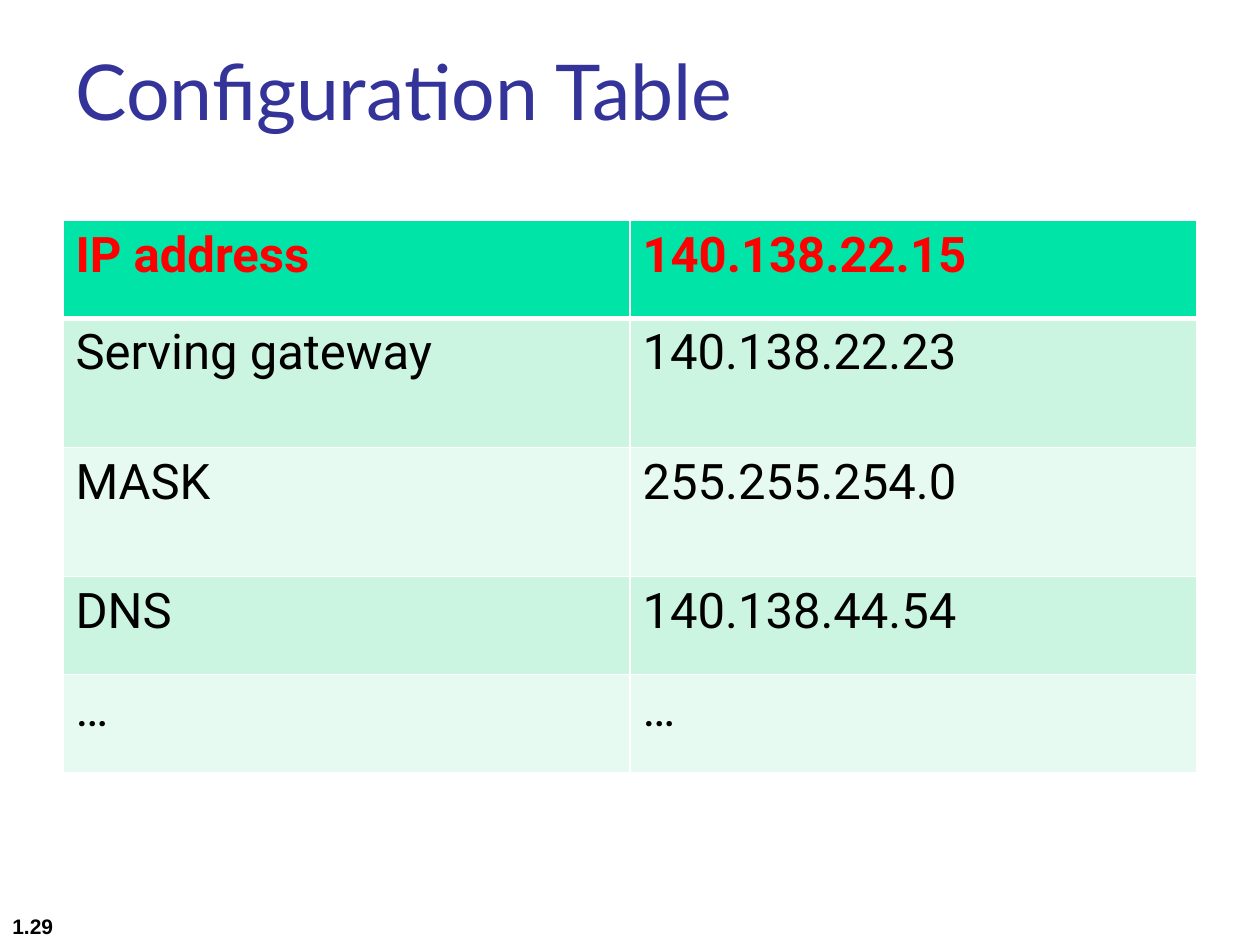
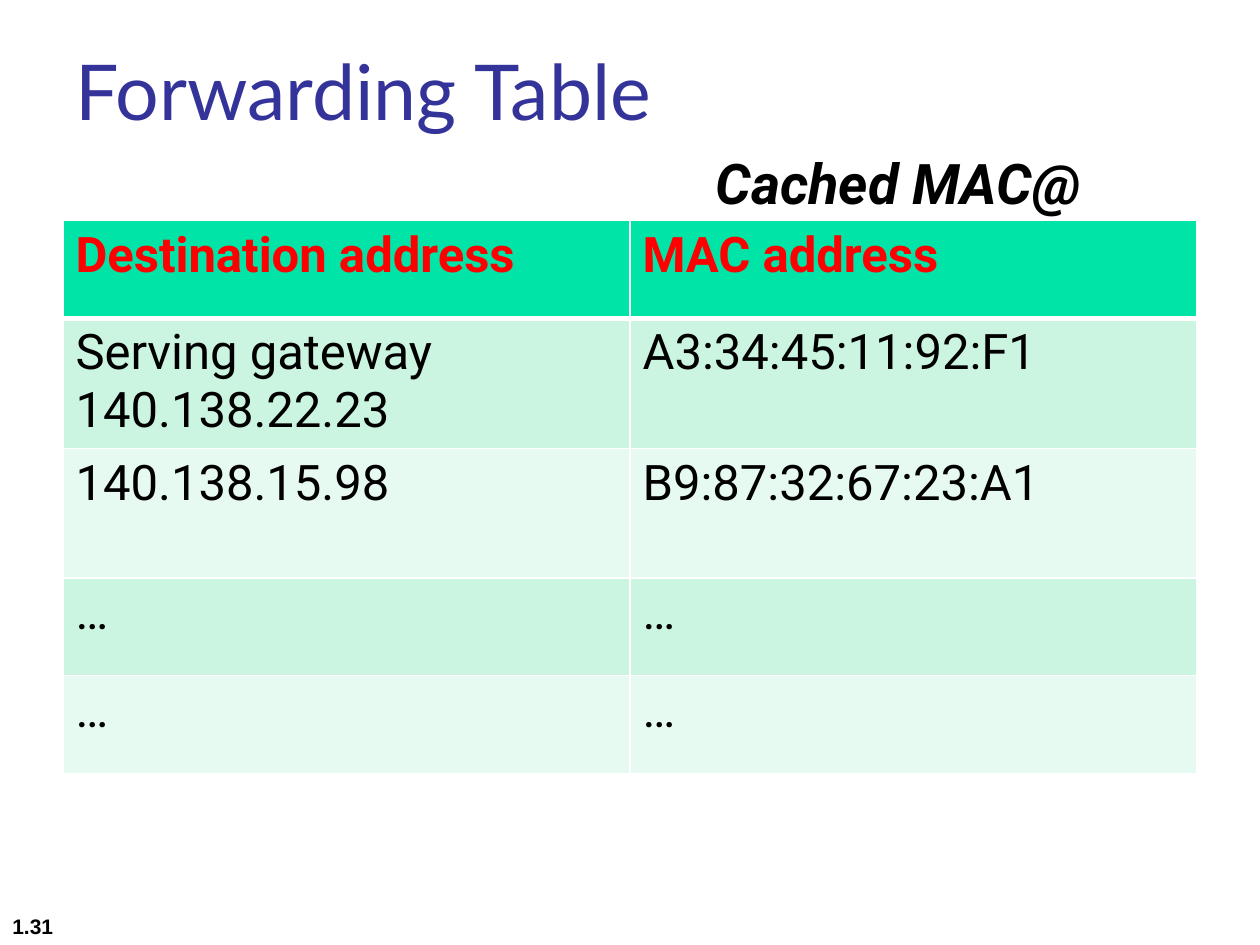
from dataclasses import dataclass
from lxml.etree import SubElement as Sub
from pptx import Presentation as Deck
from pptx.dml.color import RGBColor as Rgb
from pptx.enum.text import MSO_ANCHOR as Anchor
from pptx.oxml.ns import qn
from pptx.util import Inches, Pt


@dataclass(frozen=True)
class Theme:
    # Colours
    title: str = "333399"
    ink: str = "000000"
    alert: str = "FF0000"
    head: str = "00E4A8"
    bands: tuple = ("CCF5E1", "E7FAF1")
    rule: str = "FFFFFF"
    # Fonts
    top_font: str = "Lato"
    font: str = "Roboto"
    foot_font: str = "Arial"
    # Sizes in points
    big: int = 44
    note: int = 32
    body: int = 28
    small: int = 12
    thin: int = 1
    thick: int = 3


def write(frame, text, size, color, font, bold=False, slant=False):
    """Fill a text frame, one paragraph a line, in one format."""
    frame.text = text
    for para in frame.paragraphs:
        for run in para.runs:
            face = run.font
            face.name, face.size = font, Pt(size)
            face.bold, face.italic = bold, slant
            face.color.rgb = Rgb.from_string(color)


class Page:
    """The style, the current slide and a grid of 20 columns by 30 rows."""
    COLS, ROWS = 20, 30

    def __init__(self, deck, theme):
        self.deck, self.theme = deck, theme
        self.slide = None

    def grid(self, col, row, wide, high):
        x, y = self.deck.slide_width / self.COLS, self.deck.slide_height / self.ROWS
        return [round(n) for n in (col * x, row * y, wide * x, high * y)]

    def text(self, text, area, anchor=Anchor.TOP, **style):
        frame = self.slide.shapes.add_textbox(*self.grid(*area)).text_frame
        frame.word_wrap = True
        frame.vertical_anchor = anchor
        write(frame, text, **style)

    def start(self, title, number):
        look = self.theme
        self.slide = self.deck.slides.add_slide(self.deck.slide_layouts[6])
        self.text(title, (1, 1.2, 18, 5), size=look.big,
                  color=look.title, font=look.top_font)
        self.text(number, (0, 28, 4, 2), Anchor.BOTTOM, size=look.small,
                  color=look.ink, font=look.foot_font, bold=True)

    def note(self, text, area):
        look = self.theme
        self.text(text, area, size=look.note, color=look.ink,
                  font=look.font, bold=True, slant=True)

    def edge(self, cell, side, width):
        line = Sub(cell._tc.get_or_add_tcPr(), qn(f"a:ln{side}"), w=str(Pt(width)))
        Sub(Sub(line, qn("a:solidFill")), qn("a:srgbClr"), val=self.theme.rule)

    def table(self, rows, area, shares):
        look = self.theme
        place = self.grid(*area)
        table = self.slide.shapes.add_table(len(rows), len(rows[0]), *place).table
        for r, row in enumerate(rows):
            head = r == 0
            table.rows[r].height = round(place[3] * shares[r] / sum(shares))
            for c, text in enumerate(row):
                cell = table.cell(r, c)
                # Borders go before the fill; a thick rule closes the header
                for side in "LRTB":
                    heavy = (side, r) in (("B", 0), ("T", 1))
                    self.edge(cell, side, look.thick if heavy else look.thin)
                cell.fill.solid()
                fill = look.head if head else look.bands[(r - 1) % 2]
                cell.fill.fore_color.rgb = Rgb.from_string(fill)
                write(cell.text_frame, text, look.body,
                      look.alert if head else look.ink, look.font, bold=head)


# Shared table place and row shares
AREA = (1, 7, 18, 17.52)
SHARES = (0.78, 1.03, 1.03, 0.78, 0.78)
MORE = ("…", "…")


def main():
    deck = Deck()
    deck.slide_width, deck.slide_height = Inches(10), Inches(7.5)
    page = Page(deck, Theme())

    # Host settings
    page.start("Configuration Table", "1.29")
    page.table([("IP address", "140.138.22.15"),
                ("Serving gateway", "140.138.22.23"),
                ("MASK", "255.255.254.0"),
                ("DNS", "140.138.44.54"),
                MORE], AREA, SHARES)

    # Known hosts
    page.start("Forwarding Table", "1.31")
    page.table([("Destination address", "MAC address"),
                ("Serving gateway\n140.138.22.23", "A3:34:45:11:92:F1"),
                ("140.138.15.98", "B9:87:32:67:23:A1"),
                MORE, MORE], AREA, SHARES)
    page.note("Cached MAC@", (11.16, 4.52, 6.62, 2.56))

    deck.save("out.pptx")


if __name__ == "__main__":
    main()
